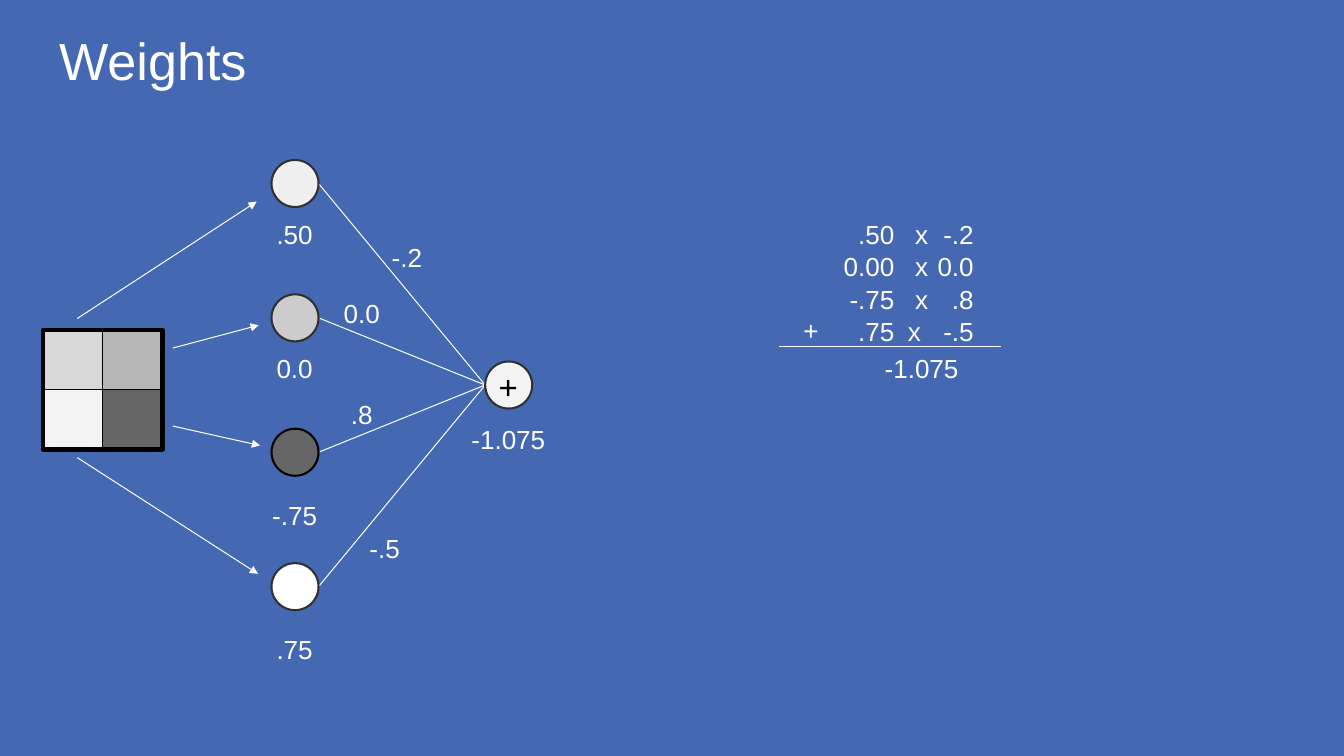
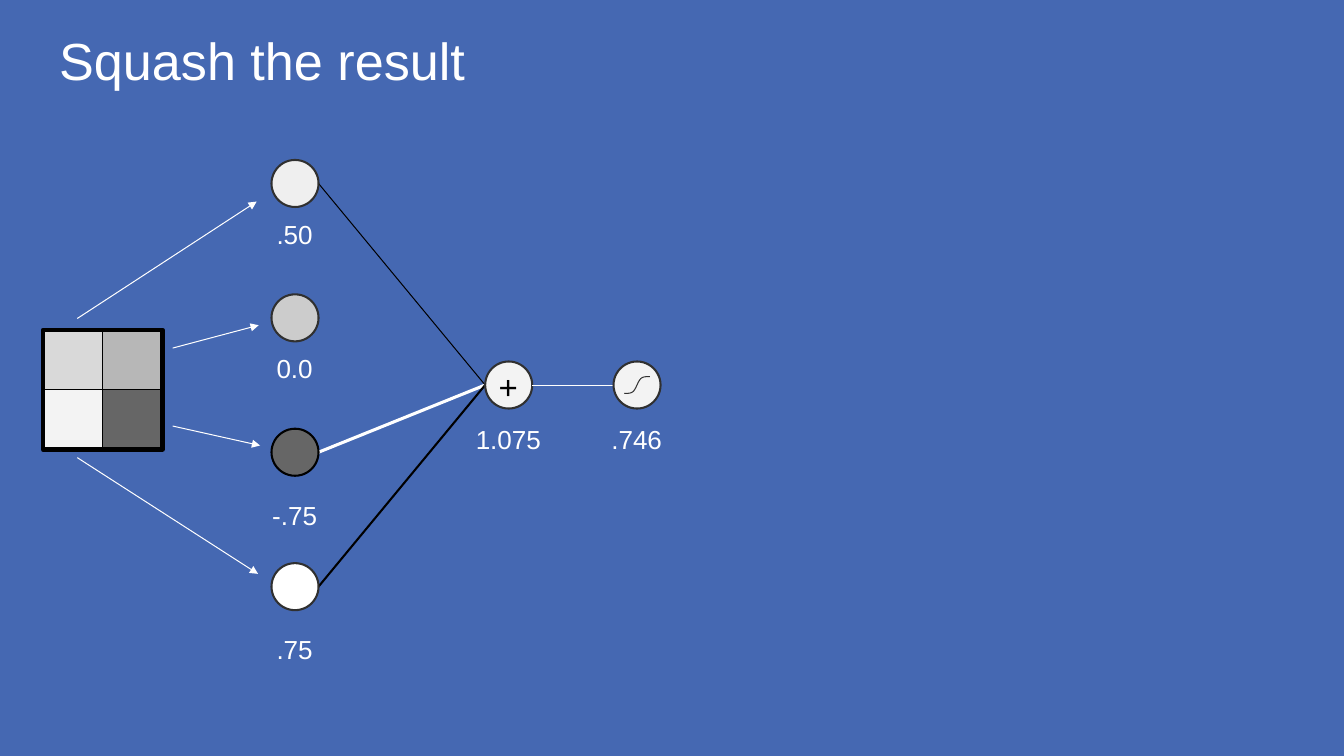
import math

import pptx
import pptx.util
import pptx.dml.color
import pptx.enum.shapes
import pptx.enum.text
import pptx.oxml
import pptx.oxml.ns

RGB = pptx.dml.color.RGBColor
SHAPE = pptx.enum.shapes.MSO_SHAPE
ALIGN = pptx.enum.text.PP_ALIGN

BLUE = RGB(0x45, 0x68, 0xB2)
WHITE = RGB(0xFF, 0xFF, 0xFF)
BLACK = RGB(0, 0, 0)
EDGE = RGB(0x30, 0x30, 0x30)
PALE = RGB(0xF3, 0xF3, 0xF3)
LIGHT = RGB(0xD9, 0xD9, 0xD9)
GREY = RGB(0xB7, 0xB7, 0xB7)
DARK = RGB(0x66, 0x66, 0x66)
CLOUD = RGB(0xEF, 0xEF, 0xEF)
SILVER = RGB(0xCC, 0xCC, 0xCC)

FONT = "Arial"
WIDE, HIGH = 13.6, 7.65
UNIT = WIDE / 100
NODE = 3.5
STEP = 10
TAG = (7.95, 4.95)
TITLE = (3.4, 0.75, 93.2, 6.25)
IMAGE = (3.2, 24.55, 8.9)
INPUT = (20.2, 11.9)
HUB = (36.1, 26.9)
SQUASH = (45.65, 26.9)
SUM = (55.2, 15.15)

CELLS = ((LIGHT, GREY), (PALE, DARK))
ARROWS = (
    (2.55, -0.85, 15.9, -9.55),
    (9.65, 1.35, 16.05, -0.35),
    (9.65, 7.15, 16.15, 8.6),
    (2.55, 9.5, 16, 18.15),
)
NODES = (
    (".50", CLOUD, EDGE, 3.25),
    ("0.0", SILVER, EDGE, 3.25),
    ("-.75", DARK, BLACK, 4.15),
    (".75", WHITE, EDGE, 4.15),
)
WEIGHTS = (
    ("-.2", 6.1, 4.95),
    ("0.0", 2.75, 9.15),
    (".8", 2.75, 16.65),
    ("-.5", 4.45, 26.65),
)
PLAIN = tuple((row, WHITE, 0.75) for row in range(4))
SCALED = ((2, WHITE, 2.25), (3, BLACK, 1.5), (0, BLACK, 0.75))
TERMS = (
    (0, (".50", "0.00", "-.75", " .75")),
    (5.9, ("-.2", "0.0", ".8", "-.5")),
    (2.5, ("x", "x", "x", "x ")),
)


def size(units):
    return pptx.util.Inches(units * UNIT)


def place(*units):
    return [size(value) for value in units]


def style(shape, fill, edge, width):
    shape.shadow.inherit = False
    if fill is None:
        shape.fill.background()
    else:
        shape.fill.solid()
        shape.fill.fore_color.rgb = fill
    shape.line.color.rgb = edge
    shape.line.width = pptx.util.Pt(width)


def draw(slide, kind, box, fill, edge, width):
    shape = slide.shapes.add_shape(kind, *place(*box))
    style(shape, fill, edge, width)


def link(slide, ends, color=WHITE, width=0.75, arrow=False):
    line = slide.shapes.add_connector(
        pptx.enum.shapes.MSO_CONNECTOR.STRAIGHT, *place(*ends))
    line.line.color.rgb = color
    line.line.width = pptx.util.Pt(width)
    if arrow:
        tail = pptx.oxml.parse_xml(
            '<a:tailEnd %s type="triangle"/>' % pptx.oxml.ns.nsdecls("a"))
        line.line._get_or_add_ln().append(tail)
    props = line._element.spPr
    props.append(pptx.oxml.parse_xml(
        "<a:effectLst %s/>" % pptx.oxml.ns.nsdecls("a")))


def fill_text(frame, lines, points, color, align, top=1):
    frame.word_wrap = True
    frame.auto_size = pptx.enum.text.MSO_AUTO_SIZE.NONE
    frame.vertical_anchor = pptx.enum.text.MSO_ANCHOR.TOP
    frame.margin_left = frame.margin_right = frame.margin_bottom = size(1)
    frame.margin_top = size(top)
    for row, words in enumerate(lines):
        para = frame.add_paragraph() if row else frame.paragraphs[0]
        para.alignment = align
        para.line_spacing = 1.04
        run = para.add_run()
        run.text = words
        run.font.name = FONT
        run.font.size = pptx.util.Pt(points)
        run.font.color.rgb = color


def write(slide, box, lines, points=19, color=WHITE, align=ALIGN.CENTER):
    frame = slide.shapes.add_textbox(*place(*box)).text_frame
    fill_text(frame, lines, points, color, align)
    return frame


def add_plus(para):
    props = para._p.get_or_add_pPr()
    props.set("marL", str(size(5)))
    props.set("indent", str(-size(3.55)))
    for body in ('<a:buClr %s><a:srgbClr val="FFFFFF"/></a:buClr>',
                 '<a:buFont %s typeface="Arial"/>',
                 '<a:buChar %s char="+"/>'):
        props.append(pptx.oxml.parse_xml(body % pptx.oxml.ns.nsdecls("a")))


def start(deck, words):
    slide = deck.slides.add_slide(deck.slide_layouts[5])
    title = slide.shapes.title
    title.left, title.top, title.width, title.height = place(*TITLE)
    fill_text(title.text_frame, [words], 38, WHITE, ALIGN.LEFT, 1.15)
    return slide


def add_image(slide, box):
    left, top, side = box
    cell = side / 2
    for row, fills in enumerate(CELLS):
        for col, fill in enumerate(fills):
            spot = (left + col * cell, top + row * cell, cell, cell)
            draw(slide, SHAPE.RECTANGLE, spot, fill, BLACK, 0.75)
    draw(slide, SHAPE.RECTANGLE, (left, top, side, side), None, BLACK, 3)
    for x1, y1, x2, y2 in ARROWS:
        ends = (left + x1, top + y1, left + x2, top + y2)
        link(slide, ends, arrow=True)


def add_node(slide, spot, fill, edge, label, drop):
    left, top = spot
    draw(slide, SHAPE.OVAL, (left, top, NODE, NODE), fill, edge, 1.5)
    write(slide, (left - 2.25, top + drop, *TAG), [label])


def add_links(slide, spot, hub, links):
    left, top = spot
    half = NODE / 2
    for row, color, width in links:
        ends = (left + NODE, top + row * STEP + half, hub[0], hub[1] + half)
        link(slide, ends, color, width)


def add_inputs(slide, spot):
    left, top = spot
    for row, (label, fill, edge, drop) in enumerate(NODES):
        add_node(slide, (left, top + row * STEP), fill, edge, label, drop)


def add_hub(slide, spot, total):
    left, top = spot
    add_node(slide, spot, PALE, EDGE, total, 3.55)
    write(slide, (left, top - 0.75, NODE, 5), ["+"], 24, BLACK, ALIGN.LEFT)


def add_net(slide, links, total):
    add_image(slide, IMAGE)
    add_links(slide, INPUT, HUB, links)
    add_inputs(slide, INPUT)
    add_hub(slide, HUB, total)


def add_weights(slide, spot):
    left, top = spot
    for label, x, y in WEIGHTS:
        write(slide, (left + x, top + y, *TAG), [label])


def add_sum(slide, spot):
    left, top = spot
    for shift, lines in TERMS:
        box = (left + shift, top, 12.35, TAG[1])
        frame = write(slide, box, lines, align=ALIGN.RIGHT)
        if shift == 0:
            add_plus(frame.paragraphs[-1])
    link(slide, (left + 2.8, top + 10.65, left + 19.3, top + 10.65))
    write(slide, (left + 9.4, top + STEP, *TAG), ["-1.075"])


def add_curve(slide, spot):
    mid_x, mid_y = spot[0] + NODE / 2, spot[1] + NODE / 2
    dots = []
    for num in range(-20, 21):
        x = num / 20
        dots.append((size(mid_x + 0.95 * x),
                     size(mid_y - 0.63 * math.tanh(3.3 * x))))
    pen = slide.shapes.build_freeform(*dots[0])
    pen.add_line_segments(dots[1:], close=False)
    style(pen.convert_to_shape(), None, EDGE, 0.75)


def add_squash(slide, spot, hub):
    mid = hub[1] + NODE / 2
    link(slide, (hub[0] + NODE, mid, spot[0], mid))
    add_node(slide, spot, PALE, EDGE, ".746", 3.55)
    add_curve(slide, spot)


def main():
    deck = pptx.Presentation()
    deck.slide_width = pptx.util.Inches(WIDE)
    deck.slide_height = pptx.util.Inches(HIGH)
    back = deck.slide_master.background.fill
    back.solid()
    back.fore_color.rgb = BLUE

    slide = start(deck, "Weights")
    add_net(slide, PLAIN, "-1.075")
    add_weights(slide, INPUT)
    add_sum(slide, SUM)

    slide = start(deck, "Squash the result")
    add_net(slide, SCALED, "1.075")
    add_squash(slide, SQUASH, HUB)

    deck.save("out.pptx")


if __name__ == "__main__":
    main()
